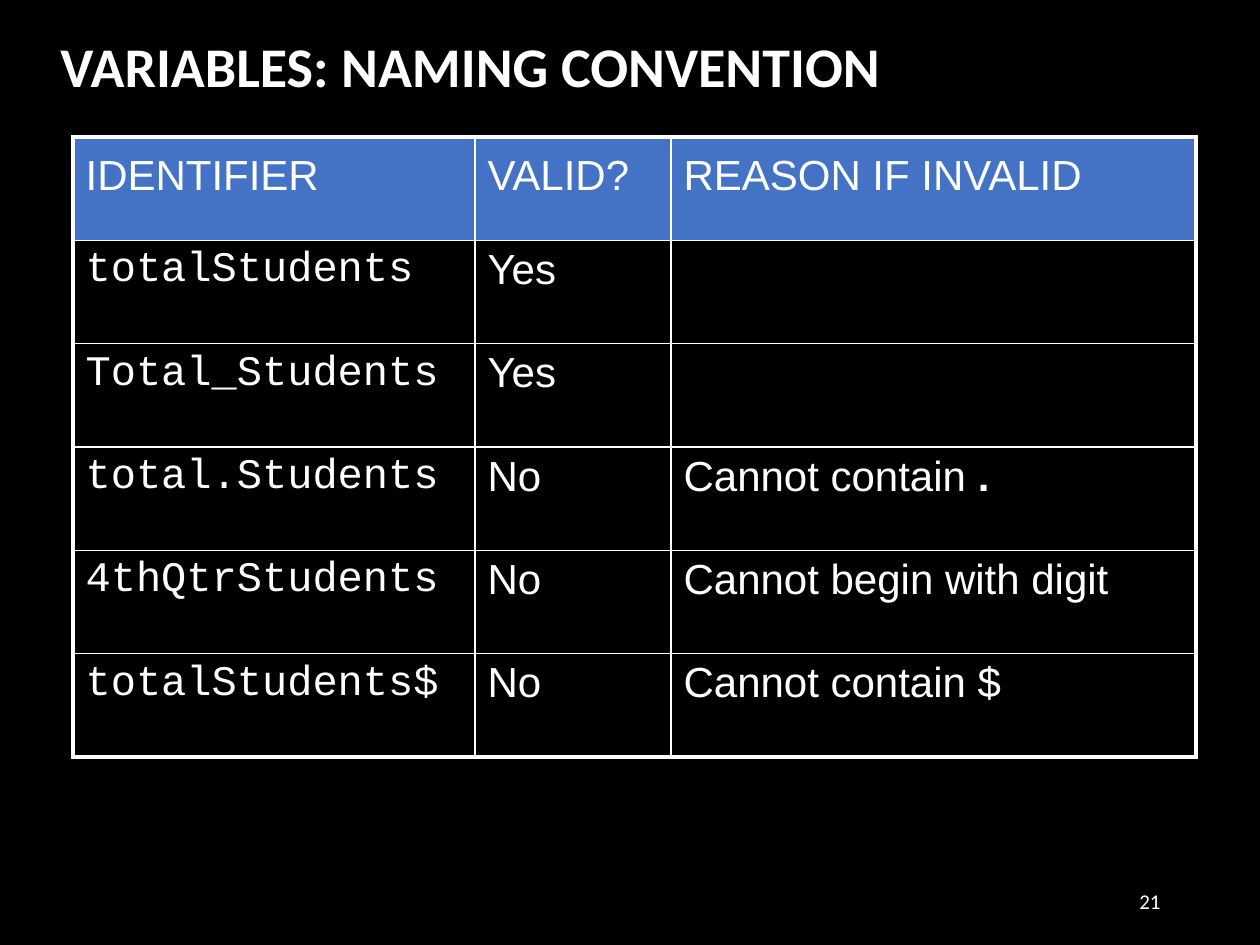
from lxml import etree
from pptx import Presentation
from pptx import util as u
from pptx.dml.color import RGBColor
from pptx.enum import text
from pptx.oxml import ns

BLACK = RGBColor(0x00, 0x00, 0x00)
WHITE = RGBColor(0xFF, 0xFF, 0xFF)
BLUE = RGBColor(0x44, 0x72, 0xC4)

TITLE = "VARIABLES: NAMING CONVENTION"
PAGE_NUMBER = "21"
HEADER = ("IDENTIFIER", "VALID?", "REASON IF INVALID")
IDENTIFIERS = [
    ("totalStudents", "Yes", ""),
    ("Total_Students", "Yes", ""),
    ("total.Students", "No", "Cannot contain ."),
    ("4thQtrStudents", "No", "Cannot begin with digit"),
    ("totalStudents$", "No", "Cannot contain $"),
]
COLUMN_WIDTHS = (402, 196, 525)
TABLE_LEFT, TABLE_TOP, TABLE_HEIGHT = 73, 137, 620
OUTER_LINE, INNER_LINE = 2.25, 1


def px(length):
    return u.Emu(round(length * 914400 / 126))


def style(span, size, font, bold=False):
    span.font.size = u.Pt(size)
    span.font.name = font
    span.font.bold = bold
    span.font.color.rgb = WHITE


def add_label(page, words, bounds, size, bold=False):
    box = page.shapes.add_textbox(*map(px, bounds))
    box.text_frame.text = words
    style(box.text_frame.paragraphs[0].runs[0], size, "Calibri", bold)
    return box.text_frame


def add_borders(cell, widths):
    """Draw white borders; widths are points for left, right, top, bottom."""
    properties = cell._tc.get_or_add_tcPr()
    for index, (side, width) in enumerate(zip("LRTB", widths)):
        line = etree.Element(ns.qn(f"a:ln{side}"), w=str(u.Pt(width)))
        fill = etree.SubElement(line, ns.qn("a:solidFill"))
        etree.SubElement(fill, ns.qn("a:srgbClr"), val=str(WHITE))
        properties.insert(index, line)


def fill_cell(cell, words, is_header, font):
    para = cell.text_frame.paragraphs[0]
    para.font.size = u.Pt(24)
    if is_header:
        cell.fill.solid()
        cell.fill.fore_color.rgb = BLUE
        para.line_spacing = 1.2
    else:
        cell.fill.background()
    # A closing dot is the forbidden character, shown in bold.
    plain = words.removesuffix(".")
    for part, bold in ((plain, False), (words[len(plain):], True)):
        if part:
            span = para.add_run()
            span.text = part
            style(span, 24, font, bold)


def add_identifier_table(page):
    rows = [HEADER, *IDENTIFIERS]
    last_row, last_column = len(rows) - 1, len(HEADER) - 1
    table = page.shapes.add_table(
        len(rows), len(HEADER), px(TABLE_LEFT), px(TABLE_TOP),
        px(sum(COLUMN_WIDTHS)), px(TABLE_HEIGHT)).table
    table.horz_banding = False
    for column, width in zip(table.columns, COLUMN_WIDTHS):
        column.width = px(width)
    for r, row in enumerate(rows):
        table.rows[r].height = px(TABLE_HEIGHT / len(rows))
        for c, words in enumerate(row):
            cell = table.cell(r, c)
            font = "Courier New" if r > 0 and c == 0 else "Arial"
            fill_cell(cell, words, r == 0, font)
            on_edge = (c == 0, c == last_column, r == 0, r == last_row)
            add_borders(cell, [OUTER_LINE if edge else INNER_LINE for edge in on_edge])


def main():
    deck = Presentation()
    deck.slide_width, deck.slide_height = px(1260), px(945)
    page = deck.slides.add_slide(deck.slide_layouts[6])
    page.background.fill.solid()
    page.background.fill.fore_color.rgb = BLACK

    title = add_label(page, TITLE, (48, 25, 853, 81), 32, bold=True)
    title.word_wrap = False
    title.auto_size = text.MSO_AUTO_SIZE.SHAPE_TO_FIT_TEXT

    number = add_label(page, PAGE_NUMBER, (890, 876, 283, 50), 12)
    number.word_wrap = True
    number.vertical_anchor = text.MSO_ANCHOR.MIDDLE
    number.paragraphs[0].alignment = text.PP_ALIGN.RIGHT

    add_identifier_table(page)
    deck.save("out.pptx")


if __name__ == "__main__":
    main()
